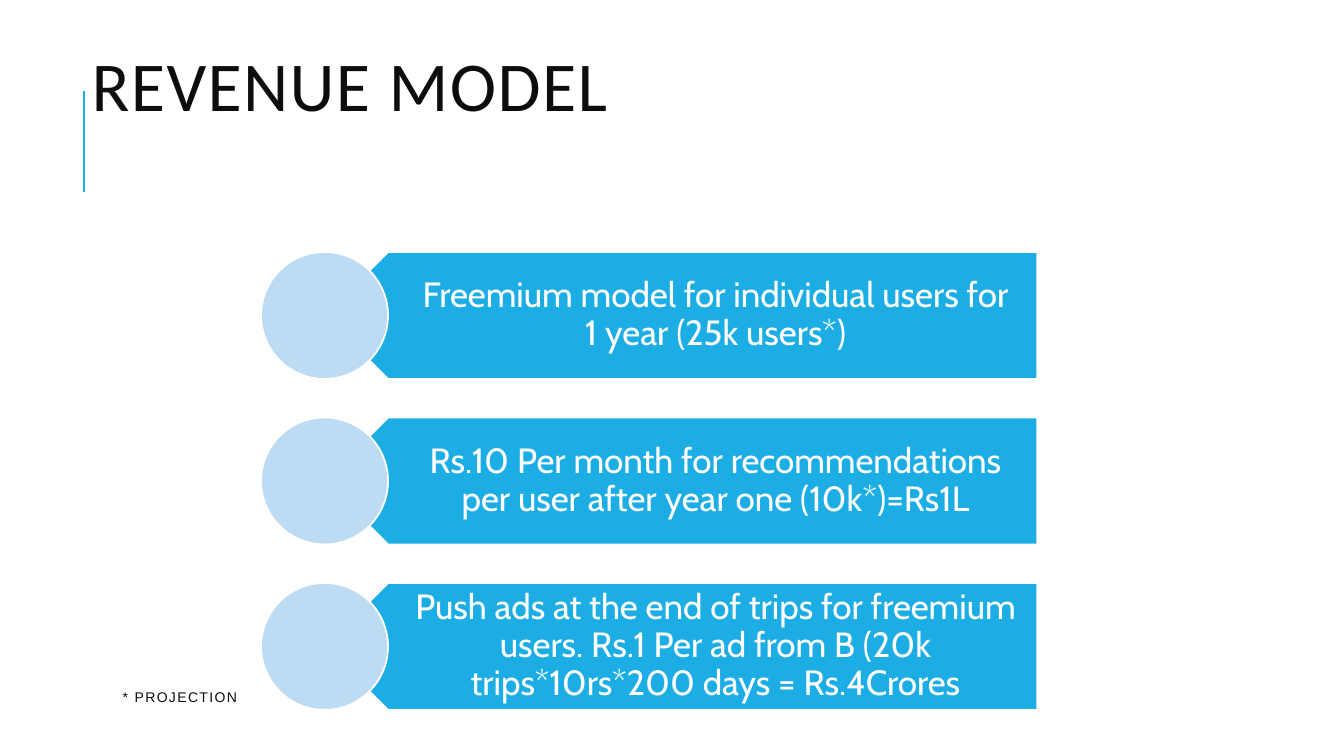
from dataclasses import dataclass

from lxml import etree
from pptx import Presentation
from pptx import util as u
from pptx.dml.color import RGBColor
from pptx.enum import shapes, text
from pptx.oxml import ns
from pptx.shapes.autoshape import Shape
from pptx.slide import Slide

BLUE = RGBColor(0x1C, 0xAD, 0xE4)
PALE_BLUE = RGBColor(0xBD, 0xDB, 0xF2)
WHITE = RGBColor(0xFF, 0xFF, 0xFF)
INK = RGBColor(0x0D, 0x0D, 0x0D)

FIRST_TOP = 6.35
ROW_PITCH = 4.17
ROW_HEIGHT = 3.2
CIRCLE_LEFT = 6.58
BANNER_LEFT = 8.18
BANNER_WIDTH = 17.96
LABEL_LEFT = 8.98
DEFAULT_INSETS = (0.25, 0.13, 0.25, 0.13)
LABEL_INSETS = (1.42, 0.25, 0.48, 0.25)


@dataclass(frozen=True)
class Box:
    left: float
    top: float
    width: float
    height: float

    def lengths(self) -> tuple[u.Length, ...]:
        return tuple(u.Cm(value) for value in (self.left, self.top, self.width, self.height))


@dataclass(frozen=True)
class RevenueStream:
    label: str


STREAMS = (
    RevenueStream("Freemium model for individual users for 1 year (25k users*)"),
    RevenueStream("Rs.10 Per month for recommendations per user after year one (10k*)=Rs1L"),
    RevenueStream(
        "Push ads at the end of trips for freemium users. Rs.1 Per ad from B "
        "(20k trips*10rs*200 days = Rs.4Crores"
    ),
)


def add_text(
    slide: Slide,
    content: str,
    box: Box,
    *,
    font: str,
    size: float,
    color: RGBColor = INK,
    align: text.PP_ALIGN = text.PP_ALIGN.LEFT,
    line_spacing: float = 0.8,
    letter_spacing: float = 0,
    insets: tuple[float, ...] = DEFAULT_INSETS,
) -> None:
    frame = slide.shapes.add_textbox(*box.lengths()).text_frame
    frame.word_wrap = True
    frame.vertical_anchor = text.MSO_ANCHOR.MIDDLE
    frame.margin_left, frame.margin_top, frame.margin_right, frame.margin_bottom = map(u.Cm, insets)
    paragraph = frame.paragraphs[0]
    paragraph.alignment = align
    paragraph.line_spacing = line_spacing
    run = paragraph.add_run()
    run.text = content
    run.font.name = font
    run.font.size = u.Pt(size)
    run.font.color.rgb = color
    if letter_spacing:
        run._r.get_or_add_rPr().set("spc", str(round(letter_spacing * 100)))


def add_filled_shape(slide: Slide, kind: shapes.MSO_SHAPE, box: Box, fill: RGBColor) -> Shape:
    shape = slide.shapes.add_shape(kind, *box.lengths())
    shape.shadow.inherit = False
    shape.fill.solid()
    shape.fill.fore_color.rgb = fill
    shape.line.color.rgb = WHITE
    shape.line.width = u.Pt(1.25)
    return shape


def add_stream(slide: Slide, stream: RevenueStream, top: float) -> None:
    banner_box = Box(BANNER_LEFT, top, BANNER_WIDTH, ROW_HEIGHT)
    banner = add_filled_shape(slide, shapes.MSO_SHAPE.PENTAGON, banner_box, BLUE)
    banner.rotation = 180
    label_width = BANNER_LEFT + BANNER_WIDTH - LABEL_LEFT
    add_text(
        slide,
        stream.label,
        Box(LABEL_LEFT, top, label_width, ROW_HEIGHT),
        font="Cabin",
        size=25,
        color=WHITE,
        align=text.PP_ALIGN.CENTER,
        line_spacing=0.9,
        insets=LABEL_INSETS,
    )
    circle_box = Box(CIRCLE_LEFT, top, ROW_HEIGHT, ROW_HEIGHT)
    add_filled_shape(slide, shapes.MSO_SHAPE.OVAL, circle_box, PALE_BLUE)


def add_title_rule(slide: Slide) -> None:
    rule = slide.shapes.add_connector(
        shapes.MSO_CONNECTOR.STRAIGHT, u.Cm(2.12), u.Cm(4.83), u.Cm(2.12), u.Cm(2.29)
    )
    rule.line.color.rgb = BLUE
    rule.line.width = u.Pt(1.5)
    etree.SubElement(rule._element.spPr, ns.qn("a:effectLst"))


def main() -> None:
    presentation = Presentation()
    presentation.slide_width = u.Cm(33.87)
    presentation.slide_height = u.Cm(19.05)
    slide = presentation.slides.add_slide(presentation.slide_layouts[6])

    add_title_rule(slide)
    for index, stream in enumerate(STREAMS):
        add_stream(slide, stream, FIRST_TOP + index * ROW_PITCH)
    add_text(
        slide,
        "REVENUE MODEL",
        Box(2.06, 0.84, 21.95, 2.92),
        font="Calibri",
        size=50,
        letter_spacing=1,
    )
    add_text(
        slide,
        "* PROJECTION",
        Box(2.84, 16.13, 3.84, 2.92),
        font="Arial",
        size=10,
        letter_spacing=1,
    )

    presentation.save("out.pptx")


if __name__ == "__main__":
    main()
